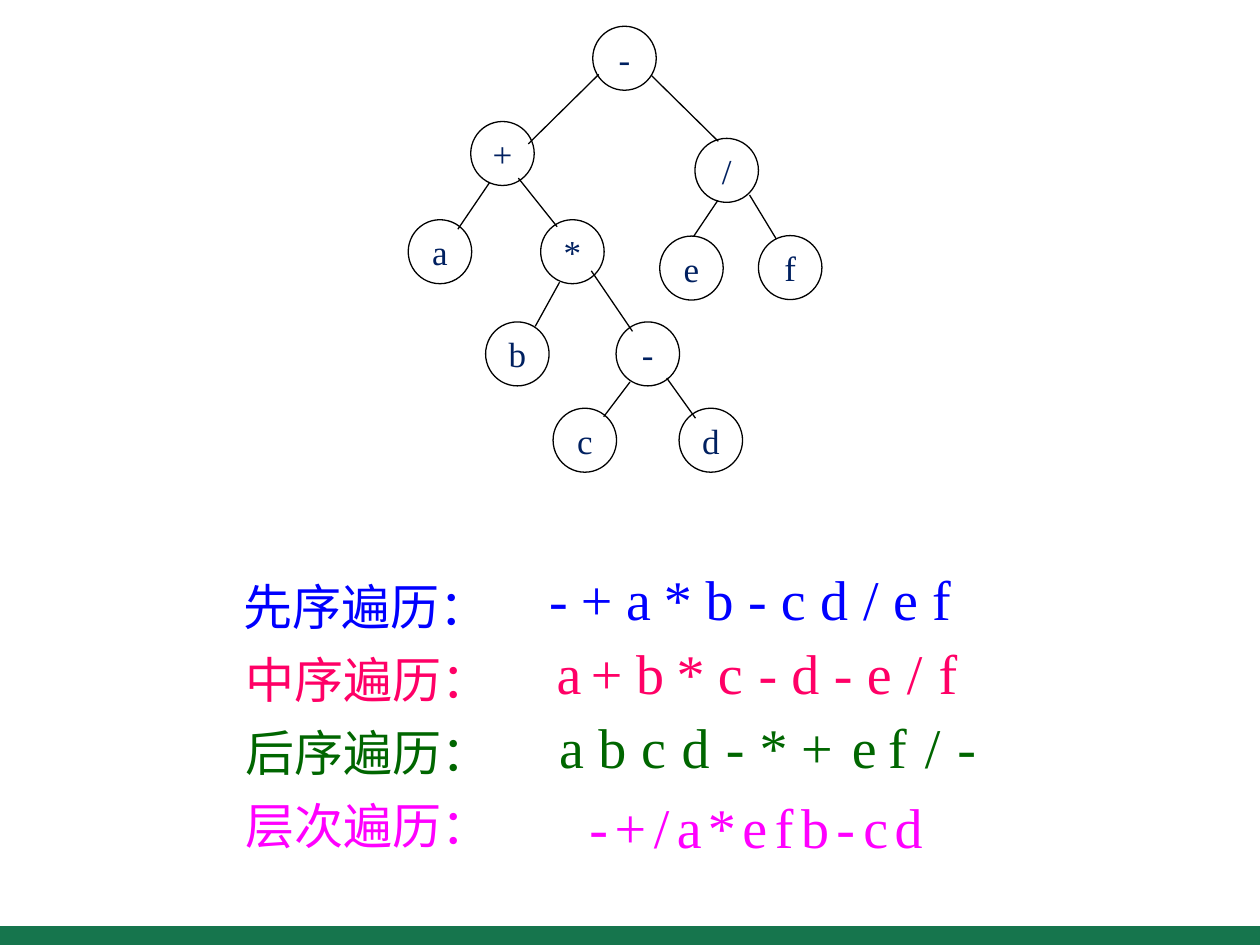
from lxml.etree import SubElement
from pptx import Presentation
from pptx.dml.color import RGBColor
from pptx.enum.shapes import MSO_CONNECTOR as Connector, MSO_SHAPE as Shape
from pptx.enum.text import MSO_ANCHOR as Anchor, MSO_AUTO_SIZE as AutoSize, PP_ALIGN as Align
from pptx.oxml.ns import qn
from pptx.util import Cm, Pt

BLACK = RGBColor(0x00, 0x00, 0x00)
NAVY = RGBColor(0x00, 0x20, 0x60)
GREEN_BAR = RGBColor(0x16, 0x75, 0x4D)
BLUE = RGBColor(0x00, 0x00, 0xFF)
PINK = RGBColor(0xFF, 0x00, 0x66)
GREEN = RGBColor(0x00, 0x66, 0x00)
MAGENTA = RGBColor(0xFF, 0x00, 0xFF)

NODE_WIDTH, NODE_HEIGHT = 1.28, 1.29
NODES = [
    ("-", 11.95, 0.53), ("+", 9.49, 2.45), ("/", 14.01, 2.79),
    ("a", 8.23, 4.43), ("*", 10.9, 4.43), ("e", 13.3, 4.76), ("f", 15.29, 4.75),
    ("b", 9.79, 6.49), ("-", 12.42, 6.49), ("c", 11.15, 8.23), ("d", 13.69, 8.23),
]
EDGES = [
    (12.07, 1.5, 10.65, 2.9), (13.14, 1.53, 14.48, 2.85),
    (9.87, 3.68, 9.23, 4.62), (10.45, 3.59, 11.23, 4.57),
    (14.47, 4.04, 13.98, 4.77), (15.11, 3.93, 15.65, 4.82),
    (11.28, 5.69, 10.79, 6.58), (11.92, 5.46, 12.75, 6.68),
    (12.7, 7.7, 12.17, 8.4), (13.44, 7.62, 14.02, 8.43),
]
SYMBOL_WIDTHS = {
    "-": 0.88, "+": 1.14, "/": 0.82, "*": 1.07, "a": 1.01, "b": 1.07,
    "c": 1.01, "d": 1.07, "e": 1.01, "f": 0.88,
}
TRAVERSALS = [
    ("先序遍历：", 4.66, "-+a*b-cd/ef", 11.25, BLUE,
     (10.82, 11.46, 12.37, 13.13, 13.97, 14.83, 15.49, 16.28, 17.15, 17.75, 18.54)),
    ("中序遍历：", 4.7, "a+b*c-d-e/f", 12.73, PINK,
     (10.97, 11.66, 12.57, 13.39, 14.22, 15.04, 15.7, 16.56, 17.22, 18.03, 18.67)),
    ("后序遍历：", 4.7, "abcd-*+ef/-", 14.23, GREEN,
     (11.02, 11.81, 12.67, 13.49, 14.38, 15.06, 15.9, 16.92, 17.65, 18.39, 19.05)),
    ("层次遍历：", 4.7, "-+/a*efb-cd", 15.84, MAGENTA,
     (11.63, 12.14, 12.93, 13.39, 14.02, 14.71, 15.37, 15.9, 16.61, 17.15, 17.78)),
]
LABEL_TOP, LABEL_STEP = 11.5, 1.47


def set_text(shape, text, size, color, align):
    frame = shape.text_frame
    frame.word_wrap = False
    frame.vertical_anchor = Anchor.MIDDLE
    para = frame.paragraphs[0]
    para.text = text
    para.alignment = align
    para.font.name = "Times New Roman"
    para.font.size = Pt(size)
    para.font.color.rgb = color


def add_text(page, text, left, top, width, height, size, color, align):
    box = page.shapes.add_textbox(Cm(left), Cm(top), Cm(width), Cm(height))
    set_text(box, text, size, color, align)
    box.text_frame.auto_size = AutoSize.SHAPE_TO_FIT_TEXT


deck = Presentation()
deck.slide_width, deck.slide_height = Cm(25.4), Cm(19.05)
page = deck.slides.add_slide(deck.slide_layouts[6])

bar = page.shapes.add_shape(Shape.RECTANGLE, 0, Cm(18.67), deck.slide_width, Cm(0.46))
bar.shadow.inherit = False
bar.fill.solid()
bar.fill.fore_color.rgb = GREEN_BAR
bar.line.fill.background()

for symbol, left, top in NODES:
    node = page.shapes.add_shape(
        Shape.OVAL, Cm(left), Cm(top), Cm(NODE_WIDTH), Cm(NODE_HEIGHT))
    node.shadow.inherit = False
    node.fill.background()
    node.line.color.rgb = BLACK
    node.line.width = Pt(0.75)
    set_text(node, symbol, 20, NAVY, Align.CENTER)

for ends in EDGES:
    edge = page.shapes.add_connector(Connector.STRAIGHT, *[Cm(value) for value in ends])
    edge.line.color.rgb = BLACK
    edge.line.width = Pt(0.75)
    SubElement(edge._element.spPr, qn("a:effectLst"))

for row, (label, label_left, symbols, top, color, lefts) in enumerate(TRAVERSALS):
    label_top = LABEL_TOP + row * LABEL_STEP
    add_text(page, label, label_left, label_top, 5.46, 1.45, 28, color, Align.LEFT)
    for symbol, left in zip(symbols, lefts):
        width = SYMBOL_WIDTHS[symbol]
        add_text(page, symbol, left, top, width, 1.62, 32, color, Align.CENTER)

deck.save("out.pptx")
